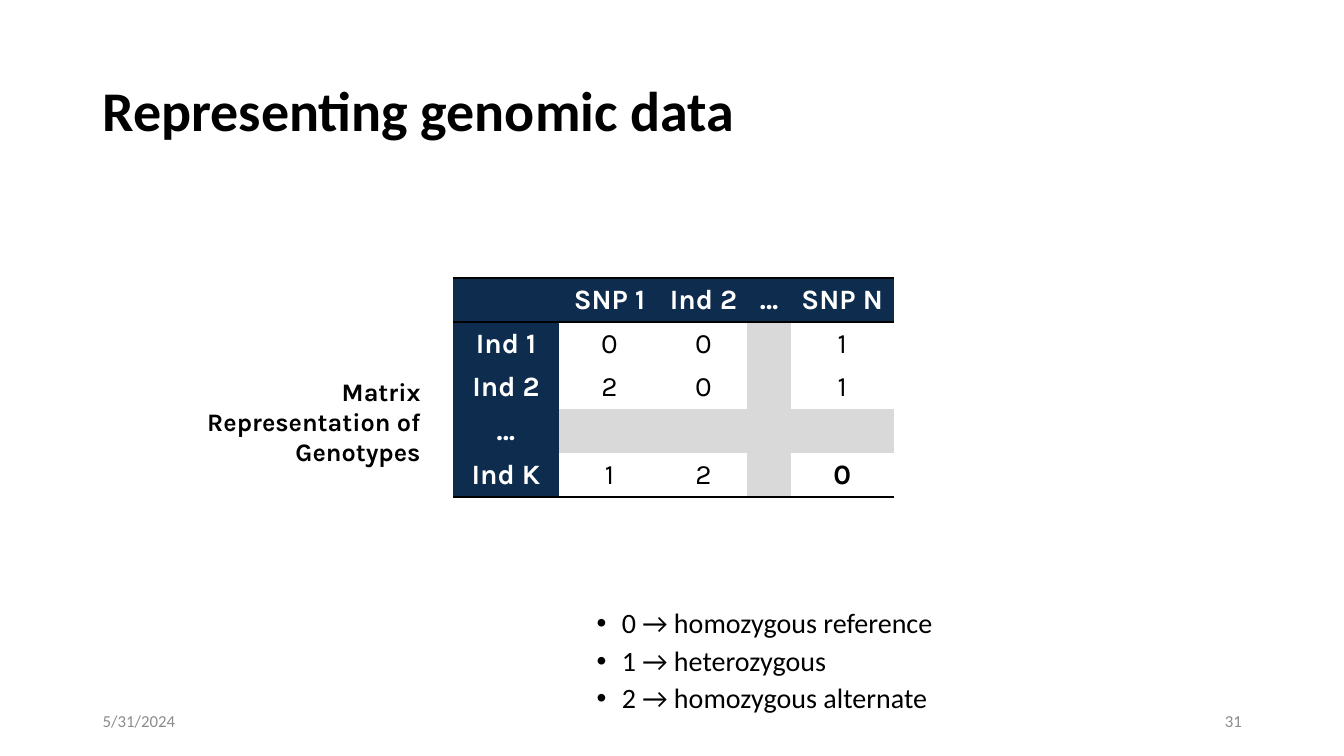
import pptx
import pptx.dml.color
import pptx.enum.text
import pptx.oxml.ns
import pptx.util
from lxml import etree

COLORS = {
    "ink": "000000",
    "muted": "8C8C8C",
    "header": "0E2C4D",
    "header_text": "FFFFFF",
    "value": "FFFFFF",
    "omitted": "D9D9D9",
}
WIDTH = pptx.util.Inches(13.33)
HEIGHT = pptx.util.Inches(7.5)
ALIGN = pptx.enum.text.PP_ALIGN
ANCHOR = pptx.enum.text.MSO_ANCHOR

GENOTYPES = [
    ["", "SNP 1", "Ind 2", "…", "SNP N"],
    ["Ind 1", "0", "0", "", "1"],
    ["Ind 2", "2", "0", "", "1"],
    ["…", "", "", "", ""],
    ["Ind K", "1", "2", "", "0"],
]
COLUMN_SHARES = [7.9, 7.5, 6.5, 3.25, 7.65]
CODES = ["0 → homozygous reference", "1 → heterozygous", "2 → homozygous alternate"]


def across(percent):
    return int(WIDTH * percent / 100)


def down(percent):
    return int(HEIGHT * percent / 100)


def rgb(color):
    return pptx.dml.color.RGBColor.from_string(COLORS[color])


def add_element(parent, tag, **attributes):
    return etree.SubElement(parent, pptx.oxml.ns.qn(tag), **attributes)


def style_font(paragraph, size, color="ink", face="Calibri", bold=False):
    font = paragraph.font
    font.size = pptx.util.Pt(size)
    font.name = face
    font.bold = bold
    font.color.rgb = rgb(color)


def add_text_frame(slide, left, top, width, height, anchor=ANCHOR.TOP):
    """Add a wrapping text box, placed in percent of the slide's size."""
    box = slide.shapes.add_textbox(across(left), down(top), across(width), down(height))
    frame = box.text_frame
    frame.word_wrap = True
    frame.vertical_anchor = anchor
    return frame


def add_line(slide, text, place, size, align=ALIGN.LEFT, anchor=ANCHOR.MIDDLE, **font):
    paragraph = add_text_frame(slide, *place, anchor=anchor).paragraphs[0]
    paragraph.text = text
    paragraph.alignment = align
    style_font(paragraph, size, **font)
    return paragraph


def add_code_legend(slide, codes, place):
    frame = add_text_frame(slide, *place)
    for index, code in enumerate(codes):
        paragraph = frame.add_paragraph() if index else frame.paragraphs[0]
        paragraph.text = code
        paragraph.level = 2
        properties = paragraph._p.get_or_add_pPr()
        properties.set("marL", str(pptx.util.Inches(1.25)))
        properties.set("indent", str(pptx.util.Inches(-0.25)))
        add_element(properties, "a:buFont", typeface="Arial")
        add_element(properties, "a:buChar", char="•")
        paragraph.line_spacing = 0.9
        if index:
            paragraph.space_before = pptx.util.Pt(5)
        style_font(paragraph, 20)


def set_borders(cell, ruled_sides):
    """Rule the given sides of a cell and clear the others."""
    properties = cell._tc.get_or_add_tcPr()
    for side in "LRTB":
        border = add_element(properties, f"a:ln{side}", w=str(pptx.util.Pt(2)))
        if side in ruled_sides:
            fill = add_element(border, "a:solidFill")
            add_element(fill, "a:srgbClr", val=COLORS["ink"])
        else:
            add_element(border, "a:noFill")


def fill_cell(cell, text, kind, bold):
    cell.fill.solid()
    cell.fill.fore_color.rgb = rgb(kind)
    cell.vertical_anchor = ANCHOR.MIDDLE
    cell.margin_left = cell.margin_right = pptx.util.Inches(0.05)
    cell.margin_top = cell.margin_bottom = 0
    paragraph = cell.text_frame.paragraphs[0]
    paragraph.text = text
    paragraph.alignment = ALIGN.CENTER
    color = "header_text" if kind == "header" else "ink"
    style_font(paragraph, 20, color, "Karla", bold)


def add_genotype_matrix(slide, genotypes, left, top, column_shares, height):
    last_row, last_column = len(genotypes) - 1, len(column_shares) - 1
    table = slide.shapes.add_table(
        len(genotypes), len(column_shares),
        across(left), down(top), across(sum(column_shares)), down(height),
    ).table
    table.first_row = table.horz_banding = False
    for column, share in zip(table.columns, column_shares):
        column.width = across(share)
    for row, values in enumerate(genotypes):
        table.rows[row].height = down(height / len(genotypes))
        ruled_sides = ("T" if row < 2 else "") + ("B" if row in (0, last_row) else "")
        for column, value in enumerate(values):
            cell = table.cell(row, column)
            is_header = row == 0 or column == 0
            kind = "header" if is_header else "value" if value else "omitted"
            is_corner = (row, column) == (last_row, last_column)
            set_borders(cell, ruled_sides)
            fill_cell(cell, value, kind, is_header or is_corner)


def main():
    deck = pptx.Presentation()
    deck.slide_width, deck.slide_height = WIDTH, HEIGHT
    slide = deck.slides.add_slide(deck.slide_layouts[6])

    title = add_line(slide, "Representing genomic data", (6.9, 5.33, 86.25, 19.33), 40, bold=True)
    title.line_spacing = 0.9
    add_line(slide, "5/31/2024", (6.9, 92.67, 22.5, 5.33), 12, color="muted")
    add_line(slide, "31", (70.65, 92.67, 22.5, 5.33), 12, ALIGN.RIGHT, color="muted")
    add_line(slide, "Matrix Representation of Genotypes", (10.95, 49.07, 21.08, 9.47),
             18, ALIGN.RIGHT, ANCHOR.TOP, face="Karla", bold=True)
    add_code_legend(slide, CODES, (36.15, 80, 44.25, 15.33))
    add_genotype_matrix(slide, GENOTYPES, 33.7, 36.8, COLUMN_SHARES, 28.93)

    deck.save("out.pptx")


if __name__ == "__main__":
    main()
